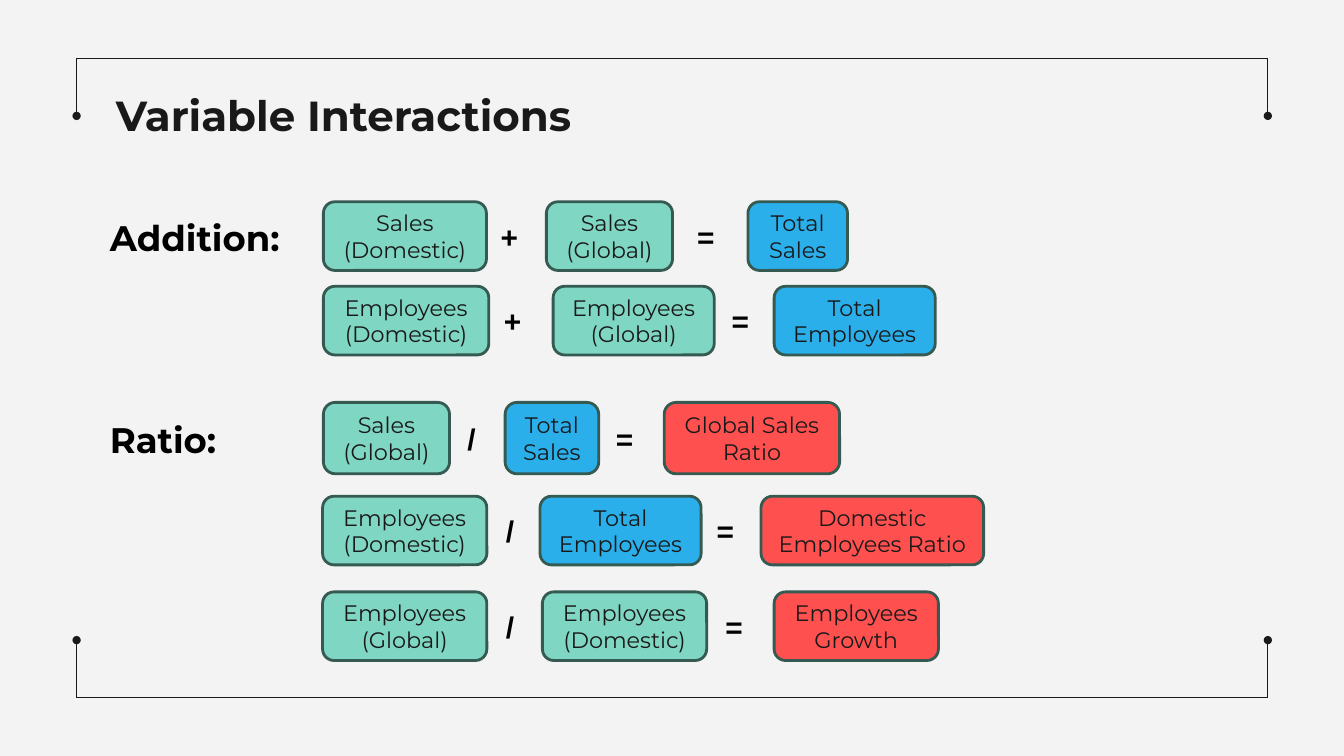
from lxml import etree
from pptx import Presentation
from pptx.dml.color import RGBColor
from pptx.enum.shapes import MSO_CONNECTOR as Line, MSO_SHAPE as Shape
from pptx.enum.text import MSO_ANCHOR as Anchor, MSO_AUTO_SIZE as Fit, PP_ALIGN as Align
from pptx.oxml.ns import qn
from pptx.util import Cm, Pt

INK, EDGE = "191919", "355A52"
GREEN, BLUE, RED = "7FD6C3", "2AAFEB", "FF5050"
LEFT, RIGHT = 1.93, 31.95

# Each row: middle, box height, then boxes (text, fill, left, width) and signs (text, left)
ROWS = [
    (5.95, 1.73,
     [("Sales (Domestic)", GREEN, 8.15, 4.11), ("Sales (Global)", GREEN, 13.77, 3.18),
      ("Total Sales", BLUE, 18.85, 2.51)],
     [("+", 12.37), ("=", 17.32)]),
    (8.08, 1.73,
     [("Employees (Domestic)", GREEN, 8.15, 4.17), ("Employees (Global)", GREEN, 13.94, 4.06),
      ("Total Employees", BLUE, 19.51, 4.06)],
     [("+", 12.45), ("=", 18.19)]),
    (11.04, 1.8,
     [("Sales (Global)", GREEN, 8.15, 3.18), ("Total Sales", BLUE, 12.73, 2.36),
      ("Global Sales Ratio", RED, 16.74, 4.42)],
     [("/", 11.53), ("=", 15.27)]),
    (13.37, 1.73,
     [("Employees (Domestic)", GREEN, 8.13, 4.14), ("Total Employees", BLUE, 13.61, 4.06),
      ("Domestic Employees Ratio", RED, 19.18, 5.61)],
     [("/", 12.5), ("=", 17.81)]),
    (15.78, 1.73,
     [("Employees (Global)", GREEN, 8.13, 4.14), ("Employees (Domestic)", GREEN, 13.67, 4.14),
      ("Employees Growth", RED, 19.51, 4.14)],
     [("/", 12.5), ("=", 18.03)]),
]


def rgb(code):
    return RGBColor.from_string(code)


def write(shape, text, size, font="Montserrat", color=INK, bold=False,
          align=Align.LEFT, anchor=Anchor.TOP, pad=(0.25, 0.13)):
    """Fill a shape with one formatted paragraph; pad is side, top in cm."""
    frame = shape.text_frame
    frame.word_wrap = True
    frame.auto_size = Fit.NONE
    frame.vertical_anchor = anchor
    frame.margin_left = frame.margin_right = Cm(pad[0])
    frame.margin_top = frame.margin_bottom = Cm(pad[1])
    para = frame.paragraphs[0]
    para.alignment = align
    run = para.add_run()
    run.text = text
    run.font.name = font
    run.font.size = Pt(size)
    run.font.bold = bold
    run.font.color.rgb = rgb(color)


def add_line(slide, x1, y1, x2, y2, dot=False):
    line = slide.shapes.add_connector(Line.STRAIGHT, Cm(x1), Cm(y1), Cm(x2), Cm(y2))
    line.line.color.rgb = rgb(INK)
    line.line.width = Pt(0.75)
    if dot:
        etree.SubElement(line.line._get_or_add_ln(), qn("a:tailEnd"), type="oval")
    etree.SubElement(line._element.spPr, qn("a:effectLst"))


def add_frame(slide):
    for edge, end in ((1.47, 2.92), (17.58, 16.13)):
        add_line(slide, LEFT, edge, RIGHT, edge)
        for x in (LEFT, RIGHT):
            add_line(slide, x, edge, x, end, dot=True)


def add_title(slide, text):
    title = slide.shapes.title
    title.left, title.top = Cm(2.67), Cm(2.01)
    title.width, title.height = Cm(28.55), Cm(2.13)
    write(title, text, 30, bold=True, pad=(0.25, 0.25))


def add_text(slide, text, x, y, wide, high, size, **style):
    box = slide.shapes.add_textbox(Cm(x), Cm(y), Cm(wide), Cm(high))
    write(box, text, size, color="000000", bold=True, **style)


def add_box(slide, text, fill, x, y, wide, high):
    box = slide.shapes.add_shape(Shape.ROUNDED_RECTANGLE, Cm(x), Cm(y), Cm(wide), Cm(high))
    box.shadow.inherit = False
    box.fill.solid()
    box.fill.fore_color.rgb = rgb(fill)
    box.line.color.rgb = rgb(EDGE)
    box.line.width = Pt(2)
    write(box, text, 16, align=Align.CENTER, anchor=Anchor.MIDDLE)


def add_row(slide, mid, high, boxes, signs):
    for text, fill, x, wide in boxes:
        add_box(slide, text, fill, x, mid - high / 2, wide, high)
    for sign, x in signs:
        wide = 0.71 if sign == "/" else 0.97
        add_text(slide, sign, x, mid - 0.58, wide, 1.17, 21.3, font="Arial")


def main():
    deck = Presentation()
    deck.slide_width, deck.slide_height = Cm(33.87), Cm(19.05)
    slide = deck.slides.add_slide(deck.slide_layouts[5])
    slide.background.fill.solid()
    slide.background.fill.fore_color.rgb = rgb("F3F3F3")
    add_frame(slide)
    add_title(slide, "Variable Interactions")
    for label, y in (("Addition:", 5.11), ("Ratio:", 10.21)):
        add_text(slide, label, 2.44, y, 5.89, 1.63, 25.3, pad=(0.33, 0.33))
    for row in ROWS:
        add_row(slide, *row)
    deck.save("out.pptx")


if __name__ == "__main__":
    main()
